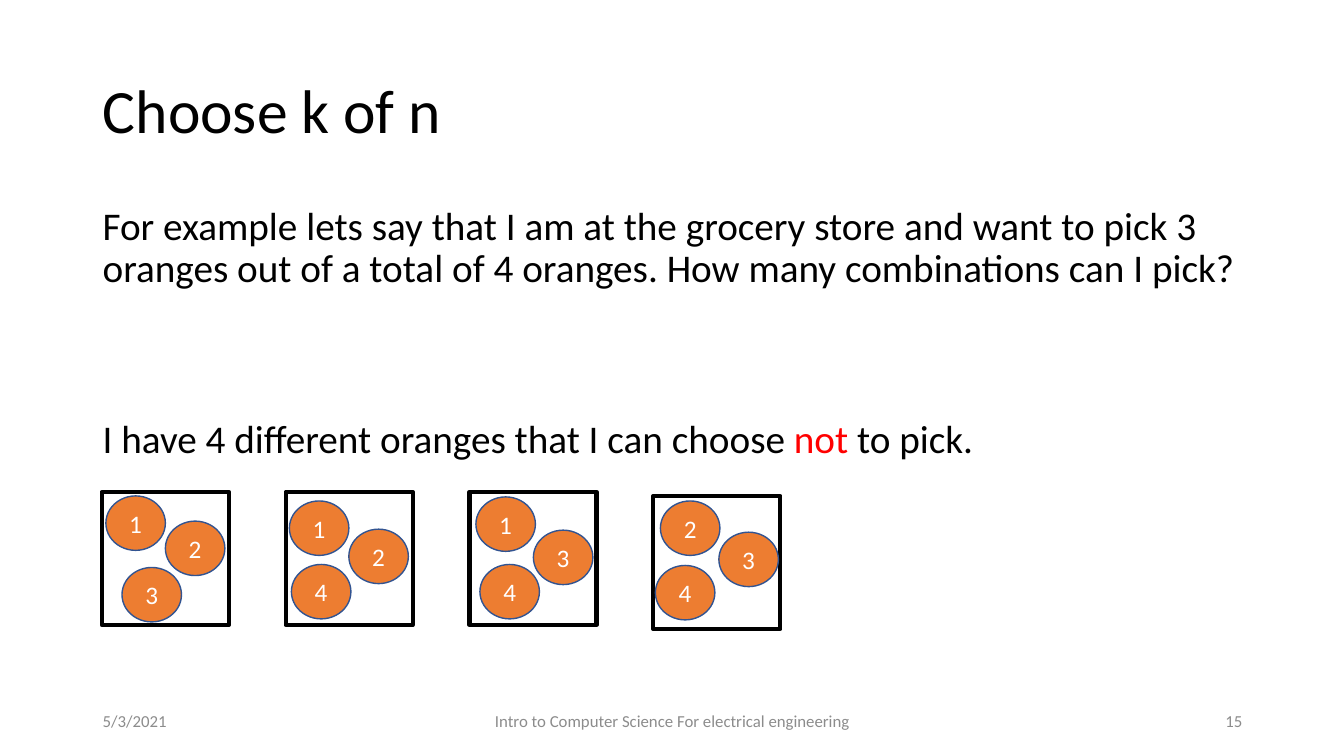
"""Build a slide on choosing 3 of 4 oranges."""
from dataclasses import dataclass

from pptx import Presentation
from pptx.dml.color import RGBColor
from pptx.enum import shapes, text
from pptx.util import Inches, Pt


@dataclass(frozen=True)
class Theme:
    """Font, colours and type sizes of the slide."""
    font: str = "Calibri"
    ink: str = "000000"
    accent: str = "FF0000"
    muted: str = "8C8C8C"
    orange: str = "ED7D31"
    rim: str = "325491"
    light: str = "FFFFFF"
    title: int = 44
    body: int = 28
    label: int = 18
    footer: int = 12


THEME = Theme()
ALIGN = text.PP_ALIGN
LAYOUT_TITLE_ONLY = 5
BOX_SIZE = (1.26, 1.32)
ORANGE_SIZE = (0.59, 0.54)
FIRST_BOX, LAST_BOX = 1.01, 6.48
PICKS = [
    (4.88, [("1", 1.05, 4.92), ("2", 1.64, 5.17), ("3", 1.21, 5.63)]),
    (4.88, [("4", 2.89, 5.6), ("2", 3.46, 5.25), ("1", 2.87, 4.97)]),
    (4.88, [("4", 4.76, 5.6), ("3", 5.29, 5.26), ("1", 4.72, 4.93)]),
    (4.92, [("4", 6.5, 5.61), ("3", 7.13, 5.28), ("2", 6.55, 4.97)]),
]
QUESTION = [("For example lets say that I am at the grocery store and want to "
             "pick 3 oranges out of a total of 4 oranges. How many "
             "combinations can I pick?", THEME.ink)]
ANSWER = [("I have 4 different oranges that I can choose ", THEME.ink),
          ("not", THEME.accent), (" to pick.", THEME.ink)]
FOOTERS = [
    ("5/3/2021", 0.92, 3, ALIGN.LEFT),
    ("Intro to Computer Science For electrical engineering", 4.42, 4.5,
     ALIGN.CENTER),
    ("15", 9.42, 3, ALIGN.RIGHT),
]


def rgb(code):
    """Turn a hex code into a colour."""
    return RGBColor.from_string(code)


def fill_paragraph(p, runs, size, align=ALIGN.LEFT):
    """Write coloured runs into a paragraph."""
    p.alignment = align
    for words, color in runs:
        r = p.add_run()
        r.text = words
        r.font.name = THEME.font
        r.font.size = Pt(size)
        r.font.color.rgb = rgb(color)


def set_frame(tf, anchor):
    """Wrap text at a fixed box size and anchor it."""
    tf.word_wrap = True
    tf.auto_size = text.MSO_AUTO_SIZE.NONE
    tf.vertical_anchor = anchor


def add_title(s, words):
    """Place and fill the title placeholder."""
    sp = s.shapes.title
    sp.left, sp.top = Inches(0.92), Inches(0.4)
    sp.width, sp.height = Inches(11.5), Inches(1.45)
    set_frame(sp.text_frame, text.MSO_ANCHOR.MIDDLE)
    p = sp.text_frame.paragraphs[0]
    p.line_spacing = 0.9
    fill_paragraph(p, [(words, THEME.ink)], THEME.title)


def add_text(s, left, top, width, height, anchor=text.MSO_ANCHOR.TOP):
    """Add a text box and return its frame."""
    sp = s.shapes.add_textbox(Inches(left), Inches(top), Inches(width),
                              Inches(height))
    set_frame(sp.text_frame, anchor)
    return sp.text_frame


def add_body(s):
    """Add the question and, well below it, the answer."""
    tf = add_text(s, 0.92, 2, 11.5, 4.76)
    question, answer = tf.paragraphs[0], tf.add_paragraph()
    answer.space_before = Pt(91.5)
    for p, runs in ((question, QUESTION), (answer, ANSWER)):
        p.line_spacing = 0.9
        fill_paragraph(p, runs, THEME.body)


def add_footer(s, words, left, width, align):
    """Add one footer entry."""
    tf = add_text(s, left, 6.95, width, 0.4, text.MSO_ANCHOR.MIDDLE)
    fill_paragraph(tf.paragraphs[0], [(words, THEME.muted)], THEME.footer,
                   align)


def add_outlined(s, kind, left, top, size, color, weight):
    """Add a preset shape with an outline and no shadow."""
    sp = s.shapes.add_shape(kind, Inches(left), Inches(top),
                            *map(Inches, size))
    sp.shadow.inherit = False
    sp.line.color.rgb = rgb(color)
    sp.line.width = Pt(weight)
    return sp


def add_box(s, left, top):
    """Add an empty square frame."""
    sp = add_outlined(s, shapes.MSO_SHAPE.RECTANGLE, left, top, BOX_SIZE,
                      THEME.ink, 3)
    sp.fill.background()


def add_orange(s, number, left, top):
    """Add a numbered orange."""
    sp = add_outlined(s, shapes.MSO_SHAPE.OVAL, left, top, ORANGE_SIZE,
                      THEME.rim, 1)
    sp.fill.solid()
    sp.fill.fore_color.rgb = rgb(THEME.orange)
    tf = sp.text_frame
    set_frame(tf, text.MSO_ANCHOR.MIDDLE)
    tf.margin_left = tf.margin_right = tf.margin_top = tf.margin_bottom = 0
    fill_paragraph(tf.paragraphs[0], [(number, THEME.light)], THEME.label,
                   ALIGN.CENTER)


def main():
    """Build and save the slide."""
    prs = Presentation()
    prs.slide_width, prs.slide_height = Inches(13.33), Inches(7.5)
    s = prs.slides.add_slide(prs.slide_layouts[LAYOUT_TITLE_ONLY])
    add_title(s, "Choose k of n")
    add_body(s)
    for footer in FOOTERS:
        add_footer(s, *footer)
    pitch = (LAST_BOX - FIRST_BOX) / (len(PICKS) - 1)
    for i, (top, oranges) in enumerate(PICKS):
        add_box(s, FIRST_BOX + i * pitch, top)
        for orange in oranges:
            add_orange(s, *orange)
    prs.save("out.pptx")


if __name__ == "__main__":
    main()
